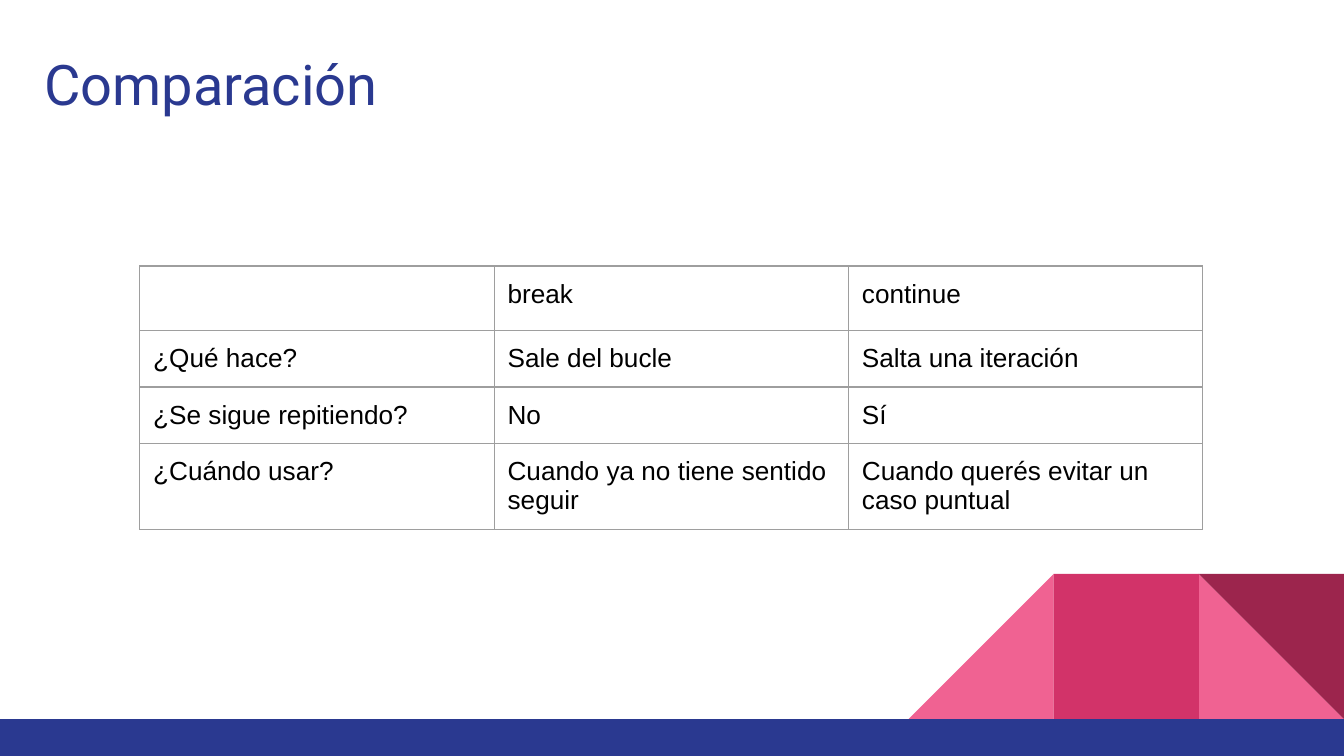
from dataclasses import dataclass

from lxml import etree
from pptx import Presentation
from pptx.dml.color import RGBColor
from pptx.enum.shapes import MSO_SHAPE
from pptx.enum.text import MSO_ANCHOR, PP_ALIGN
from pptx.oxml.ns import qn
from pptx.util import Inches, Pt

RECTANGLE = MSO_SHAPE.RECTANGLE
RIGHT_TRIANGLE = MSO_SHAPE.RIGHT_TRIANGLE
TOP = MSO_ANCHOR.TOP
LEFT = PP_ALIGN.LEFT


@dataclass(frozen=True)
class Theme:
    """Colours, fonts and type sizes of the slide."""
    blue: str = "2A3990"
    pink: str = "F06292"
    magenta: str = "D23369"
    burgundy: str = "9C254D"
    border: str = "9E9E9E"
    text: str = "000000"
    title_font: str = "Roboto"
    body_font: str = "Arial"
    title_size: float = 30
    body_size: float = 14
    border_width: float = 0.75


THEME = Theme()
SLIDE_WIDTH = 10
SLIDE_HEIGHT = SLIDE_WIDTH * 9 / 16
TITLE = "Comparación"
COMPARISON = [
    ["", "break", "continue"],
    ["¿Qué hace?", "Sale del bucle", "Salta una iteración"],
    ["¿Se sigue repitiendo?", "No", "Sí"],
    ["¿Cuándo usar?", "Cuando ya no tiene sentido seguir",
     "Cuando querés evitar un caso puntual"],
]
ROW_HEIGHTS = [0.48, 0.42, 0.42, 0.64]


def set_attributes(target, values):
    """Set each named attribute of the target."""
    for name, value in values.items():
        setattr(target, name, value)


def set_margins(target):
    """Give a text frame or cell equal margins on all sides."""
    set_attributes(target, {f"margin_{side}": Inches(0.1)
                            for side in ("left", "right", "top", "bottom")})


def format_font(font, name, size, color):
    """Apply typeface, size and colour to a font."""
    set_attributes(font, {"name": name, "size": Pt(size)})
    font.color.rgb = RGBColor.from_string(color)


def add_block(slide, kind, box, color, rotation=0):
    """Add a plain filled shape."""
    shape = slide.shapes.add_shape(kind, *map(Inches, box))
    shape.shadow.inherit = False
    shape.rotation = rotation
    shape.fill.solid()
    shape.fill.fore_color.rgb = RGBColor.from_string(color)
    shape.line.fill.background()


def add_decoration(slide, left, top, side):
    """Draw the row of square tiles in the lower corner."""
    tiles = [
        (2, RIGHT_TRIANGLE, THEME.pink, 0),
        (0, RIGHT_TRIANGLE, THEME.pink, 270),
        (1, RECTANGLE, THEME.magenta, 0),
        (2, RIGHT_TRIANGLE, THEME.burgundy, 180),
    ]
    for column, kind, color, rotation in tiles:
        box = (left + column * side, top, side, side)
        add_block(slide, kind, box, color, rotation)


def add_title(slide, left, top, width, height):
    """Place and format the title placeholder."""
    title = slide.shapes.title
    set_attributes(title, {"left": Inches(left), "top": Inches(top),
                           "width": Inches(width), "height": Inches(height)})
    frame = title.text_frame
    frame.text = TITLE
    set_attributes(frame, {"word_wrap": True, "vertical_anchor": TOP})
    set_margins(frame)
    paragraph = frame.paragraphs[0]
    set_attributes(paragraph, {"alignment": LEFT, "line_spacing": 1.15,
                               "space_before": Pt(12),
                               "space_after": Pt(12)})
    format_font(paragraph.runs[0].font, THEME.title_font, THEME.title_size,
                THEME.blue)


def add_borders(cell):
    """Draw a thin line on all four sides of a cell."""
    properties = cell._tc.get_or_add_tcPr()
    for index, edge in enumerate(("a:lnL", "a:lnR", "a:lnT", "a:lnB")):
        line = etree.Element(qn(edge), w=str(Pt(THEME.border_width)))
        fill = etree.SubElement(line, qn("a:solidFill"))
        etree.SubElement(fill, qn("a:srgbClr"), val=THEME.border)
        properties.insert(index, line)


def format_cell(cell, text):
    """Fill and format one table cell."""
    cell.text = text
    cell.vertical_anchor = TOP
    cell.fill.background()
    set_margins(cell)
    add_borders(cell)
    paragraph = cell.text_frame.paragraphs[0]
    for run in paragraph.runs:
        format_font(run.font, THEME.body_font, THEME.body_size, THEME.text)
    if not text:
        etree.SubElement(paragraph._p, qn("a:endParaRPr"),
                         sz=str(int(THEME.body_size * 100)))


def add_comparison(slide, left, top, width):
    """Add the comparison table with equal columns."""
    box = map(Inches, (left, top, width, sum(ROW_HEIGHTS)))
    table = slide.shapes.add_table(len(COMPARISON), len(COMPARISON[0]),
                                   *box).table
    set_attributes(table, {"first_row": False, "horz_banding": False})
    for column in table.columns:
        column.width = Inches(width / len(COMPARISON[0]))
    for row, height, texts in zip(table.rows, ROW_HEIGHTS, COMPARISON):
        row.height = Inches(height)
        for cell, text in zip(row.cells, texts):
            format_cell(cell, text)


def main():
    """Build and save the presentation."""
    presentation = Presentation()
    set_attributes(presentation, {"slide_width": Inches(SLIDE_WIDTH),
                                  "slide_height": Inches(SLIDE_HEIGHT)})
    slide = presentation.slides.add_slide(presentation.slide_layouts[5])
    add_decoration(slide, 6.76, 4.27, 1.08)
    add_block(slide, RECTANGLE, (0, 5.35, SLIDE_WIDTH, SLIDE_HEIGHT - 5.35),
              THEME.blue)
    add_title(slide, 0.23, 0.19, 9.43, 0.82)
    add_comparison(slide, 1.04, 1.98, 7.91)
    presentation.save("out.pptx")


if __name__ == "__main__":
    main()
